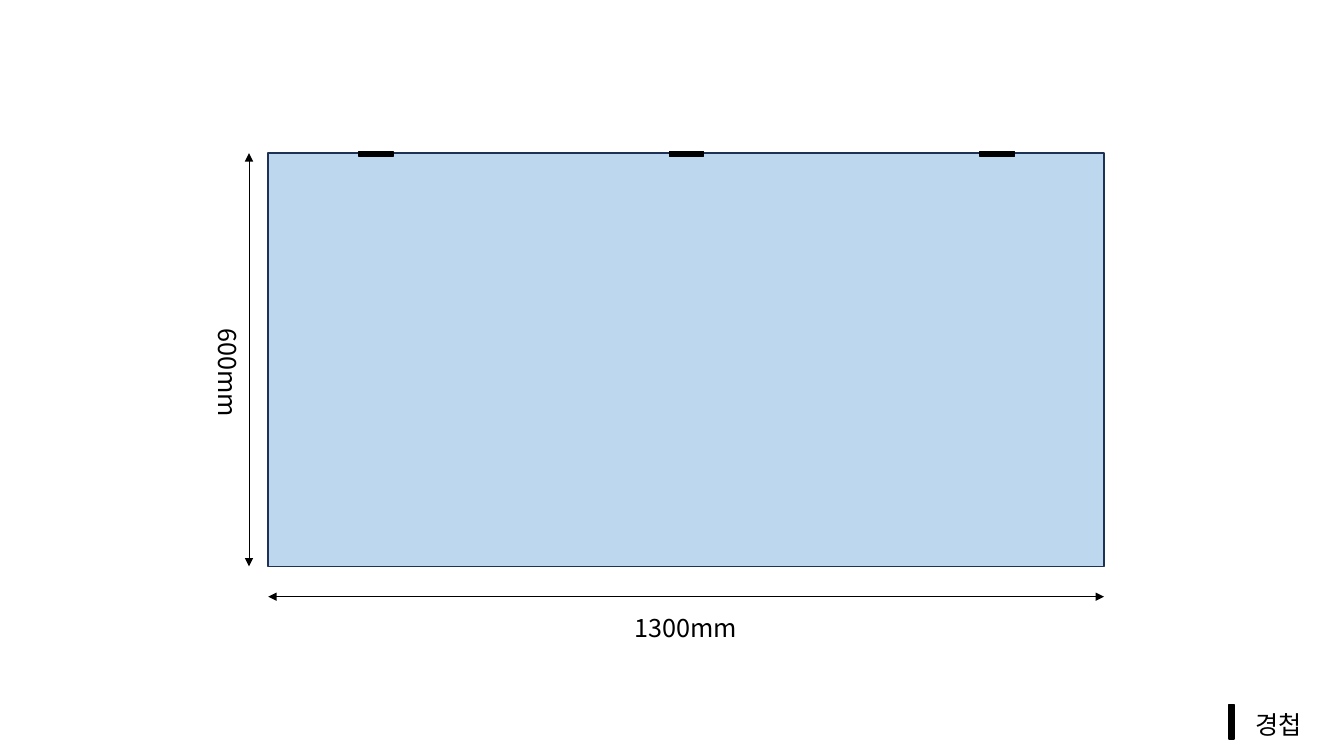
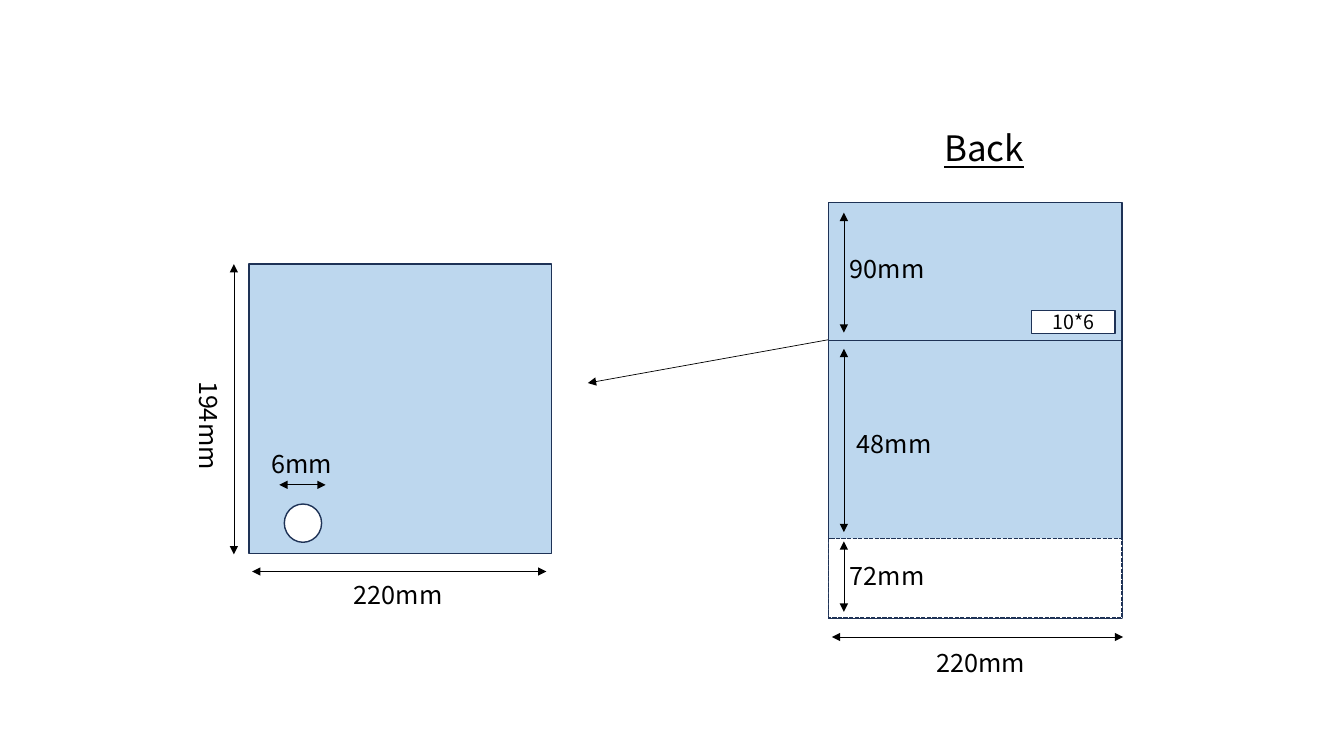
from dataclasses import dataclass

from lxml.etree import SubElement
from pptx import Presentation
from pptx.dml.color import RGBColor
from pptx.enum.dml import MSO_LINE
from pptx.enum.shapes import MSO_CONNECTOR, MSO_SHAPE
from pptx.enum.text import MSO_ANCHOR, MSO_AUTO_SIZE, PP_ALIGN
from pptx.oxml.ns import qn
from pptx.util import Emu, Pt


@dataclass(frozen=True)
class Theme:
    font: str = "Noto Sans CJK KR"
    ink: RGBColor = RGBColor(0x00, 0x00, 0x00)
    panel: RGBColor = RGBColor(0xBD, 0xD7, 0xEE)
    outline: RGBColor = RGBColor(0x1E, 0x32, 0x56)
    paper: RGBColor = RGBColor(0xFF, 0xFF, 0xFF)
    heading: int = 25
    label: int = 18
    small: int = 14
    edge: float = 1
    arrow: float = 0.5


THEME = Theme()
EMU_PER_PX = 9144  # 100 px to the inch
LABEL_W, LABEL_H = 148, 40


def px(length):
    return Emu(round(length * EMU_PER_PX))


def write(frame, text, size=THEME.label, align=PP_ALIGN.CENTER, underline=None):
    frame.word_wrap = True
    frame.text = text
    paragraph = frame.paragraphs[0]
    paragraph.alignment = align
    font = paragraph.font
    font.name, font.size, font.underline = THEME.font, Pt(size), underline
    font.color.rgb = THEME.ink
    # East Asian letters need their own typeface entry
    defaults = paragraph._p.pPr.find(qn("a:defRPr"))
    SubElement(defaults, qn("a:ea"), typeface=THEME.font)


# Kinds of element
def add_title(slide, text, left, top, width, height, **style):
    title = slide.shapes.title
    title.left, title.top, title.width, title.height = map(
        px, (left, top, width, height))
    write(title.text_frame, text, **style)
    title.text_frame.auto_size = MSO_AUTO_SIZE.NONE
    title.text_frame.vertical_anchor = MSO_ANCHOR.TOP


def add_panel(slide, left, top, width, height, fill=THEME.panel,
              outline=THEME.outline, kind=MSO_SHAPE.RECTANGLE):
    panel = slide.shapes.add_shape(kind, *map(px, (left, top, width, height)))
    panel.shadow.inherit = False
    panel.fill.solid()
    panel.fill.fore_color.rgb = fill
    panel.line.color.rgb = outline
    panel.line.width = Pt(THEME.edge)
    return panel


def add_bar(slide, left, top, width, height):
    add_panel(slide, left, top, width, height, THEME.ink, THEME.ink)


def add_label(slide, text, center_x, center_y, rotation=0):
    label = slide.shapes.add_textbox(
        px(center_x - LABEL_W / 2), px(center_y - LABEL_H / 2),
        px(LABEL_W), px(LABEL_H))
    label.rotation = rotation
    write(label.text_frame, text)


def add_arrow(slide, start, end, ends=("headEnd", "tailEnd")):
    arrow = slide.shapes.add_connector(
        MSO_CONNECTOR.STRAIGHT, *map(px, (*start, *end)))
    arrow.line.color.rgb = THEME.ink
    arrow.line.width = Pt(THEME.arrow)
    properties = arrow._element.spPr
    for tip in ends:
        SubElement(properties.find(qn("a:ln")), qn(f"a:{tip}"), type="triangle")
    SubElement(properties, qn("a:effectLst"))


def add_dimension(slide, text, start, end, label_center, rotation=0):
    add_arrow(slide, start, end)
    add_label(slide, text, *label_center, rotation)


# Slides
def build_hinge_slide(slide):
    add_panel(slide, 266, 152, 829, 410)
    add_dimension(slide, "1300mm", (1095, 592), (266, 592), (680, 623))
    add_dimension(slide, "600mm", (247, 562), (247, 152), (227, 370), 90)

    # Hinges along the top edge
    for index in range(3):
        add_bar(slide, 356 + 308 * index, 150, 34, 5)

    # Legend for the hinge mark
    add_bar(slide, 1219, 699, 5, 34)
    add_title(slide, "경첩", 1235, 699, 79, 40, size=THEME.label,
              align=PP_ALIGN.LEFT)


def build_back_slide(slide):
    add_title(slide, "Back", 908, 121, 136, 52, size=THEME.heading,
              underline=True)

    # Inner sheet with its hole
    add_panel(slide, 247, 262, 300, 287)
    add_dimension(slide, "220mm", (542, 567), (250, 567), (395, 590))
    add_dimension(slide, "194mm", (232, 550), (232, 262), (208, 422), 90)
    add_panel(slide, 282, 500, 37, 38, THEME.paper, kind=MSO_SHAPE.OVAL)
    add_dimension(slide, "6mm", (277, 481), (323, 481), (299, 460))
    add_arrow(slide, (822, 337), (583, 380), ends=("tailEnd",))

    # Back sheet: body, upper part and open strip
    add_panel(slide, 822, 335, 291, 278)
    add_panel(slide, 822, 201, 291, 137)
    strip = add_panel(slide, 822, 534, 291, 79, THEME.paper)
    strip.line.dash_style = MSO_LINE.SQUARE_DOT
    add_dimension(slide, "220mm", (1114, 632), (825, 632), (973, 657))
    for text, bottom, top, label_center in (
        ("90mm", 330, 211, (880, 266)),
        ("48mm", 528, 346, (887, 440)),
        ("72mm", 607, 537, (880, 571)),
    ):
        add_dimension(slide, text, (837, bottom), (837, top), label_center)

    slot = add_panel(slide, 1023, 308, 83, 23, THEME.paper)
    write(slot.text_frame, "10*6", THEME.small)
    slot.text_frame.vertical_anchor = MSO_ANCHOR.MIDDLE


def main():
    deck = Presentation()
    deck.slide_width, deck.slide_height = px(1333), px(750)
    title_only = deck.slide_layouts[5]
    for build in (build_hinge_slide, build_back_slide):
        build(deck.slides.add_slide(title_only))
    deck.save("out.pptx")


if __name__ == "__main__":
    main()
